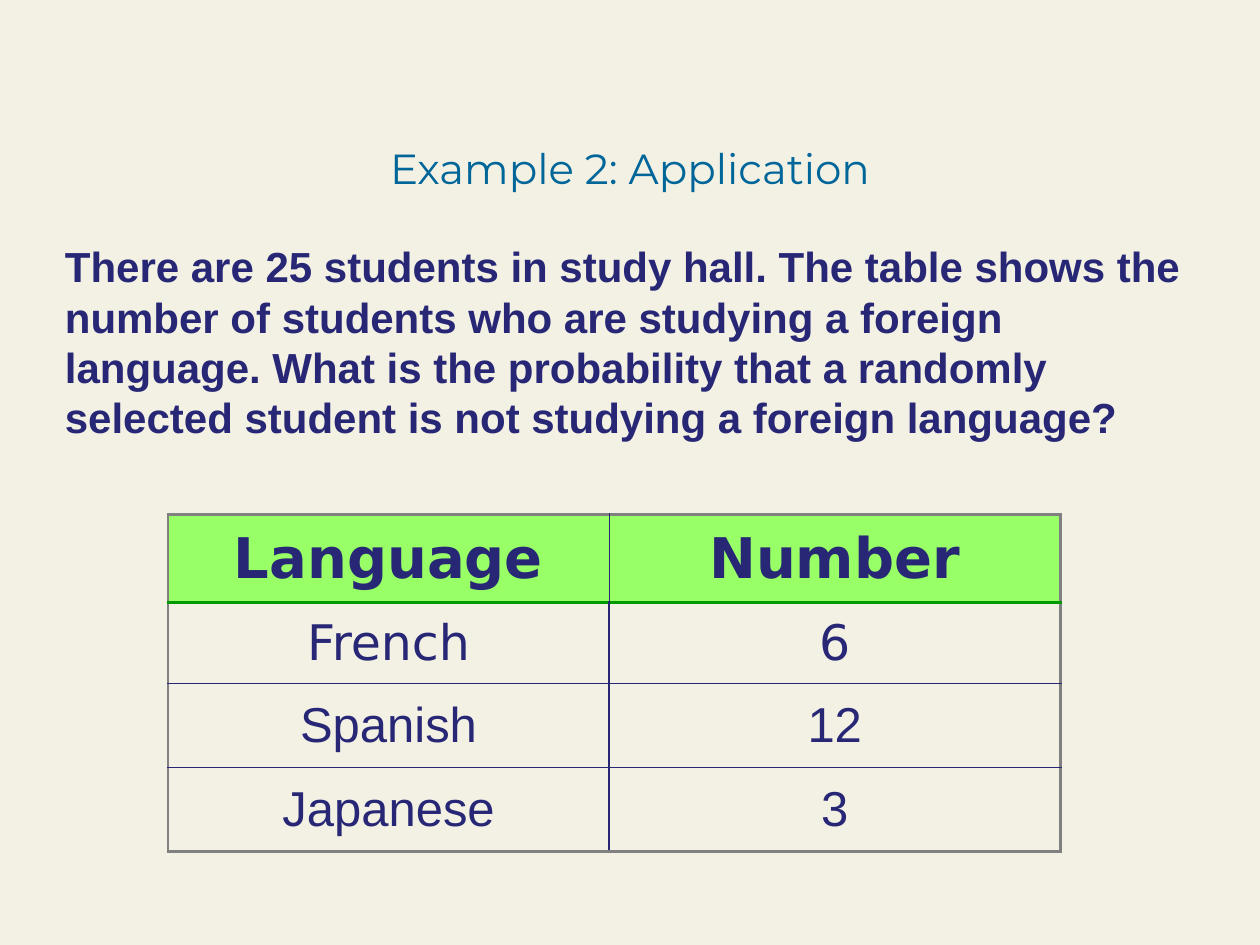
from lxml import etree
from pptx import Presentation
from pptx.dml.color import RGBColor
from pptx.enum import text as t
from pptx.oxml import ns
from pptx.util import Pt

CREAM = RGBColor(0xF3, 0xF1, 0xE4)
TEAL = RGBColor(0x00, 0x66, 0x99)
NAVY = RGBColor(0x27, 0x27, 0x76)
LIME = RGBColor(0x99, 0xFF, 0x66)
GREEN = RGBColor(0x00, 0x99, 0x00)
GRAY = RGBColor(0x80, 0x80, 0x80)


def style(para, name, size, color, bold=False):
    font = para.font
    font.name, font.size, font.bold = name, Pt(size), bold
    font.color.rgb = color


def border(cell, side, color, width):
    props = cell._tc.get_or_add_tcPr()
    line = etree.SubElement(props, ns.qn("a:" + side), w=str(Pt(width)))
    fill = etree.SubElement(line, ns.qn("a:solidFill"))
    etree.SubElement(fill, ns.qn("a:srgbClr"), val=str(color))


prs = Presentation()
prs.slide_width, prs.slide_height = Pt(720), Pt(540)
slide = prs.slides.add_slide(prs.slide_layouts[5])
slide.background.fill.solid()
slide.background.fill.fore_color.rgb = CREAM

title = slide.shapes.title
title.left, title.top, title.width, title.height = Pt(0), Pt(78), Pt(720), Pt(36)
frame = title.text_frame
frame.text = "Example 2: Application"
frame.auto_size = t.MSO_AUTO_SIZE.NONE
frame.vertical_anchor = t.MSO_ANCHOR.MIDDLE
frame.paragraphs[0].alignment = t.PP_ALIGN.CENTER
style(frame.paragraphs[0], "Montserrat", 24, TEAL)

body = slide.shapes.add_textbox(Pt(30), Pt(134), Pt(666), Pt(122.4))
frame = body.text_frame
frame.word_wrap = True
frame.vertical_anchor = t.MSO_ANCHOR.MIDDLE
frame.text = (
    "There are 25 students in study hall. The table shows the number of "
    "students who are studying a foreign language. What is the probability "
    "that a randomly selected student is not studying a foreign language?"
)
frame.paragraphs[0].line_spacing = Pt(28.8)
style(frame.paragraphs[0], "Arial", 24, NAVY, True)

data = [
    ("Language", "Number", "DejaVu Sans", 50.4),
    ("French", "6", "DejaVu Sans", 46.2),
    ("Spanish", "12", "Arial", 48),
    ("Japanese", "3", "Arial", 48),
]
outer, thin = (GRAY, 1.47), (NAVY, 0.45)
rules = [outer, (GREEN, 2.21), thin, thin, outer]

table = slide.shapes.add_table(4, 2, Pt(96), Pt(294), Pt(510), Pt(192.6)).table
table.columns[0].width, table.columns[1].width = Pt(252), Pt(258)
for r, (*words, face, height) in enumerate(data):
    head = r == 0
    table.rows[r].height = Pt(height)
    mid = thin if head else (NAVY, 1.47)
    sides = [outer, mid, outer]
    for c, word in enumerate(words):
        cell = table.cell(r, c)
        cell.text = word
        cell.vertical_anchor = t.MSO_ANCHOR.MIDDLE
        para = cell.text_frame.paragraphs[0]
        para.alignment = t.PP_ALIGN.CENTER
        style(para, face, 32 if head else 28, NAVY, head)
        border(cell, "lnL", *sides[c])
        border(cell, "lnR", *sides[c + 1])
        border(cell, "lnT", *rules[r])
        border(cell, "lnB", *rules[r + 1])
        if head:
            cell.fill.solid()
            cell.fill.fore_color.rgb = LIME
        else:
            cell.fill.background()

prs.save("out.pptx")
